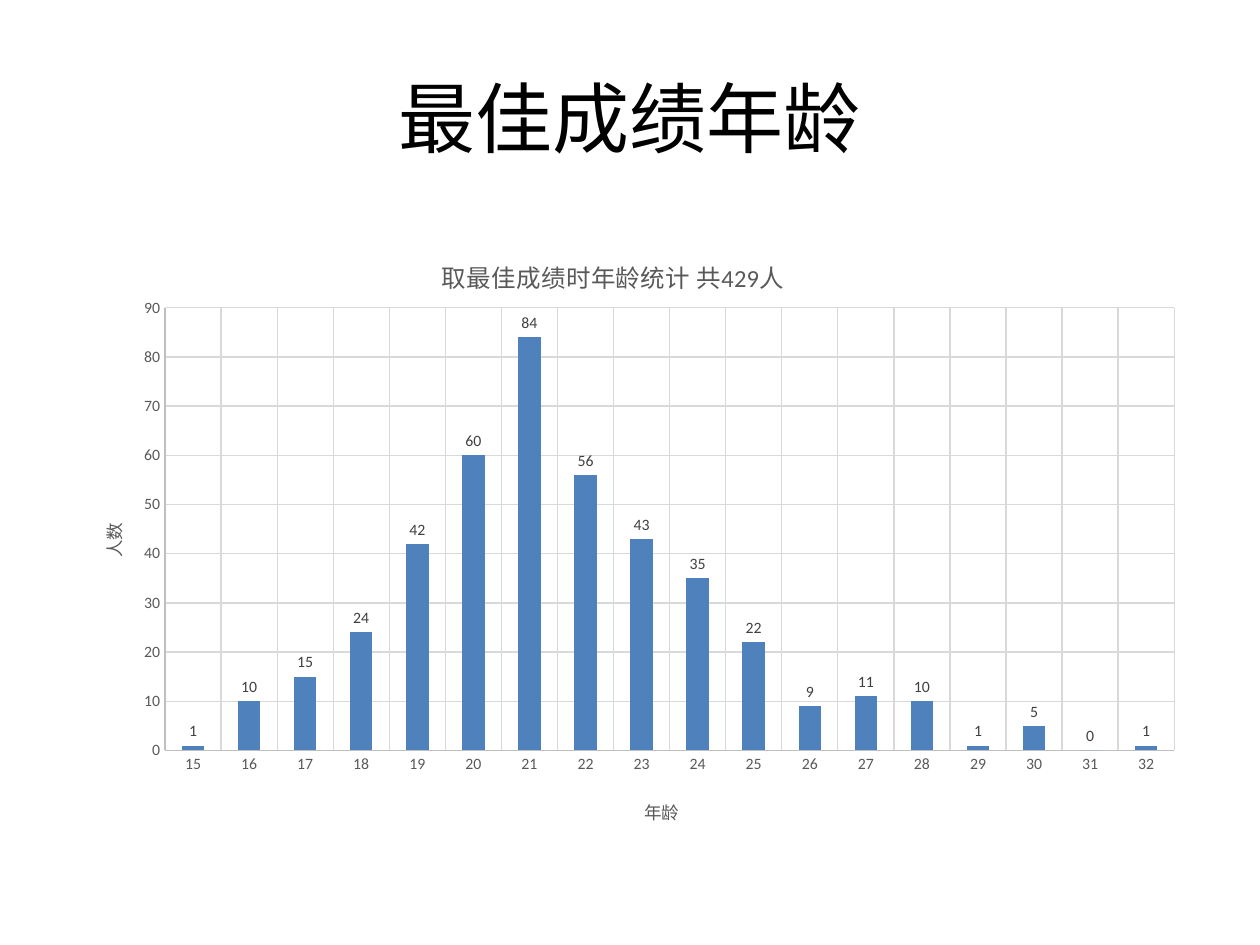
from lxml.etree import SubElement
from pptx import Presentation
from pptx.chart.data import CategoryChartData
from pptx.dml.color import RGBColor
from pptx.enum.chart import XL_CHART_TYPE, XL_LABEL_POSITION, XL_TICK_MARK
from pptx.enum.text import MSO_ANCHOR, PP_ALIGN
from pptx.oxml.ns import qn
from pptx.util import Pt

FONT = "Calibri"
COLORS = {"title": "000000", "text": "595959", "label": "404040",
          "bar": "4F81BD", "axis": "BFBFBF", "grid": "D9D9D9"}
SLIDE_TITLE = "最佳成绩年龄"
CHART_TITLE = "取最佳成绩时年龄统计 共429人"
AGE_TITLE, PEOPLE_TITLE = "年龄", "人数"
FIRST_AGE = 15
PEOPLE = [1, 10, 15, 24, 42, 60, 84, 56, 43, 35, 22, 9, 11, 10, 1, 5, 0, 1]

# Fractions of the chart frame
PLOT_LAYOUT = {"x": 0.09, "y": 0.14, "w": 0.89, "h": 0.71}
CHART_TITLE_LAYOUT = {"x": 0.33, "y": 0.05}
AGE_TITLE_LAYOUT = {"x": 0.51, "y": 0.92}
PEOPLE_TITLE_LAYOUT = {"x": 0.03, "y": 0.48}


def color(name):
    return RGBColor.from_string(COLORS[name])


def style_font(font, size, color_name):
    font.name = FONT
    font.size = Pt(size)
    font.bold = False
    font.color.rgb = color(color_name)


def style_line(line, color_name):
    line.color.rgb = color(color_name)
    line.width = Pt(0.75)


def place(element, position, fractions):
    """Give a chart part a manual layout, as its child at the given position."""
    for old_layout in element.findall(qn("c:layout")):
        element.remove(old_layout)
    layout = element.makeelement(qn("c:layout"))
    element.insert(position, layout)
    manual = SubElement(layout, qn("c:manualLayout"))
    if "w" in fractions:
        SubElement(manual, qn("c:layoutTarget")).set("val", "inner")
    for key in ("x", "y"):
        SubElement(manual, qn(f"c:{key}Mode")).set("val", "edge")
    for key, value in fractions.items():
        SubElement(manual, qn(f"c:{key}")).set("val", str(value))


def add_title(title, text, size, fractions):
    title.text_frame.text = text
    style_font(title.text_frame.paragraphs[0].font, size, "text")
    place(title._element, 1, fractions)


def style_axis(axis, text, fractions):
    axis.major_tick_mark = axis.minor_tick_mark = XL_TICK_MARK.NONE
    axis.has_major_gridlines = True
    style_line(axis.major_gridlines.format.line, "grid")
    style_line(axis.format.line, "axis")
    style_font(axis.tick_labels.font, 9, "text")
    add_title(axis.axis_title, text, 10, fractions)


presentation = Presentation()
presentation.slide_width, presentation.slide_height = Pt(720), Pt(540)
slide = presentation.slides.add_slide(presentation.slide_layouts[5])

title = slide.shapes.title
title.left, title.top, title.width, title.height = Pt(36), Pt(21.6), Pt(648), Pt(90)
title.text_frame.text = SLIDE_TITLE
title.text_frame.vertical_anchor = MSO_ANCHOR.MIDDLE
paragraph = title.text_frame.paragraphs[0]
paragraph.alignment = PP_ALIGN.CENTER
style_font(paragraph.font, 44, "title")

data = CategoryChartData()
data.categories = [str(FIRST_AGE + i) for i in range(len(PEOPLE))]
data.add_series(PEOPLE_TITLE, PEOPLE)
chart = slide.shapes.add_chart(XL_CHART_TYPE.COLUMN_CLUSTERED,
                               Pt(36), Pt(126), Pt(648), Pt(356.4), data).chart
chart.has_legend = False
chart.font.name = FONT
chart.font.size = Pt(10)
add_title(chart.chart_title, CHART_TITLE, 14, CHART_TITLE_LAYOUT)
style_axis(chart.category_axis, AGE_TITLE, AGE_TITLE_LAYOUT)
style_axis(chart.value_axis, PEOPLE_TITLE, PEOPLE_TITLE_LAYOUT)
chart.value_axis.minimum_scale = 0
chart.value_axis.maximum_scale = 90
chart.value_axis.major_unit = 10

plot = chart.plots[0]
plot.gap_width = 150
plot.vary_by_categories = False
series = plot.series[0]
series.format.fill.solid()
series.format.fill.fore_color.rgb = color("bar")
labels = series.data_labels
labels.show_value = True
labels.position = XL_LABEL_POSITION.OUTSIDE_END
style_font(labels.font, 9, "label")
place(chart._chartSpace.chart.plotArea, 0, PLOT_LAYOUT)

presentation.save("out.pptx")
